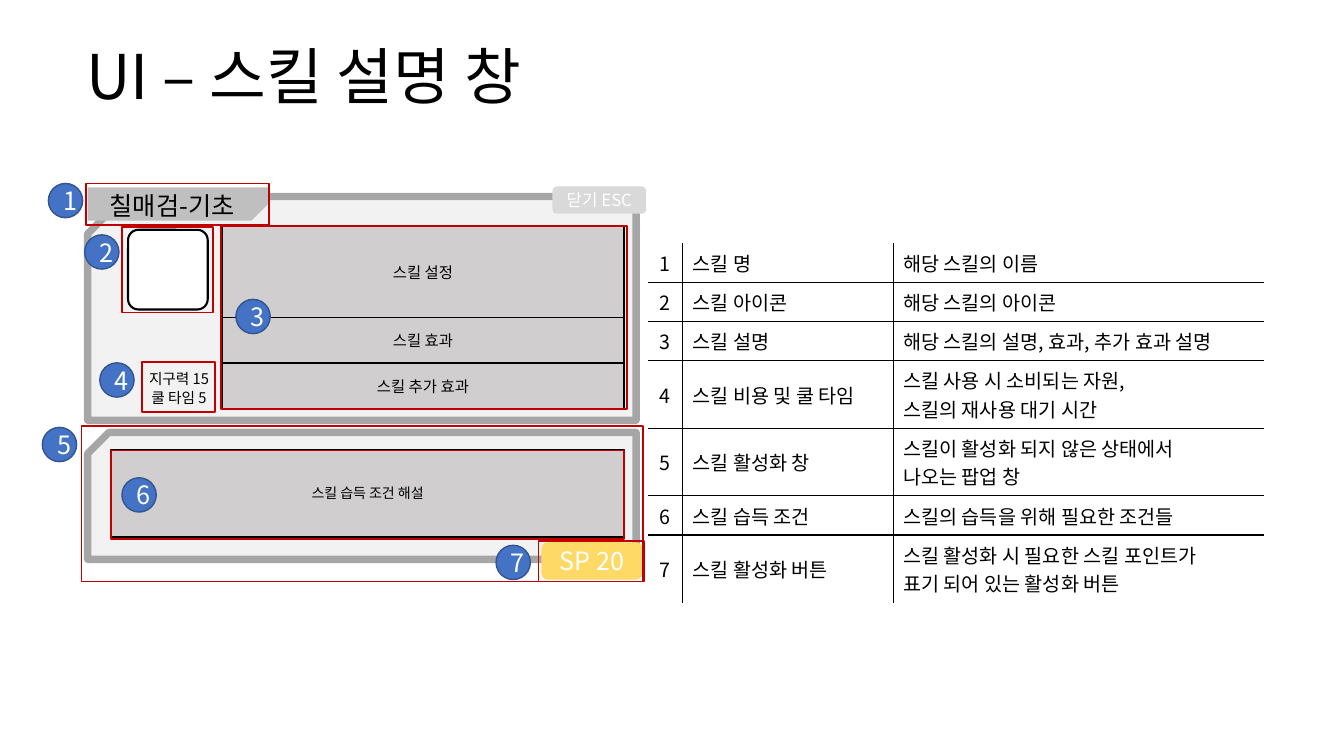
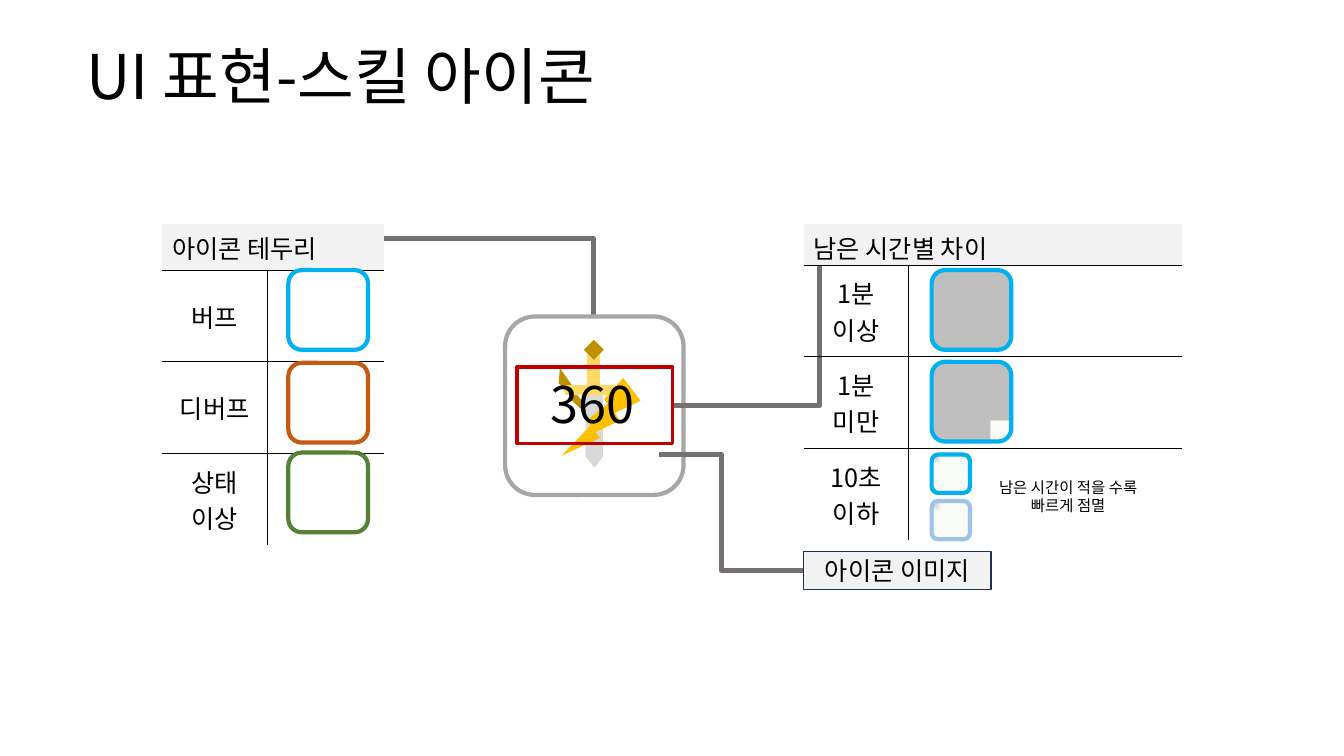
from dataclasses import dataclass

from lxml.etree import SubElement
from pptx import Presentation
from pptx.dml.color import RGBColor
from pptx.enum.shapes import MSO_CONNECTOR, MSO_SHAPE
from pptx.enum.text import MSO_ANCHOR, PP_ALIGN
from pptx.oxml.ns import qn
from pptx.util import Inches, Pt


@dataclass(frozen=True)
class Theme:
    font: str = "Noto Sans CJK KR"
    black: str = "000000"
    white: str = "FFFFFF"
    panel: str = "F2F2F2"
    frame: str = "A6A6A6"
    tag: str = "BFBFBF"
    pale: str = "D9D9D9"
    field: str = "D0CECE"
    red: str = "C00000"
    badge: str = "4472C4"
    badge_line: str = "325491"
    note_line: str = "1E3256"
    yellow: str = "FFD966"
    gold: str = "FFC000"
    dark_gold: str = "BF9000"
    wire: str = "767171"
    sky: str = "00B0F0"
    light_blue: str = "9DC3E6"
    orange: str = "C55A11"
    green: str = "548235"
    glow: str = "F8FBF6"
    title: float = 44
    timer: float = 36
    heading: float = 18
    body: float = 14
    button: float = 12
    label: float = 11
    cost: float = 10.5
    small: float = 10


T = Theme()


@dataclass(frozen=True)
class Box:
    x: float
    y: float
    w: float
    h: float

    def sub(self, x, y, w, h):
        return Box(self.x + x, self.y + y, w, h)

    def emu(self):
        return [Inches(round(v, 2)) for v in (self.x, self.y, self.w, self.h)]


def rgb(color):
    return RGBColor.from_string(color)


def write(tf, text, size, color=T.black, align=PP_ALIGN.CENTER, spacing=None):
    for i, line in enumerate(text.split("\n")):
        p = tf.add_paragraph() if i else tf.paragraphs[0]
        p.text = line
        p.alignment = align
        if spacing:
            p.line_spacing = spacing
        p.font.name = T.font
        p.font.size = Pt(size)
        p.font.color.rgb = rgb(color)
        latin = p.font._element.find(qn("a:latin"))
        ea = latin.makeelement(qn("a:ea"), {"typeface": T.font})
        latin.addnext(ea)


def shape(slide, kind, box, fill=None, line=None, width=1.0, adj=(),
          flip=None, rot=0, text=None, size=T.heading, color=T.black):
    sp = slide.shapes.add_shape(kind, *box.emu())
    sp.shadow.inherit = False
    sp.rotation = rot
    for i, value in enumerate(adj):
        sp.adjustments[i] = value
    if fill:
        sp.fill.solid()
        sp.fill.fore_color.rgb = rgb(fill)
    else:
        sp.fill.background()
    if line:
        sp.line.color.rgb = rgb(line)
        sp.line.width = Pt(width)
    else:
        sp.line.fill.background()
    if flip:
        sp._element.spPr.find(qn("a:xfrm")).set(flip, "1")
    if text:
        sp.text_frame.vertical_anchor = MSO_ANCHOR.MIDDLE
        write(sp.text_frame, text, size, color)
    return sp


def label(slide, box, text, size, align=PP_ALIGN.CENTER,
          anchor=MSO_ANCHOR.TOP, spacing=None):
    tf = slide.shapes.add_textbox(*box.emu()).text_frame
    tf.word_wrap = True
    tf.vertical_anchor = anchor
    if align == PP_ALIGN.CENTER:
        tf.margin_left = tf.margin_right = 0
    write(tf, text, size, align=align, spacing=spacing)


def marker(slide, box, width=1.25):
    shape(slide, MSO_SHAPE.RECTANGLE, box, line=T.red, width=width)


def badge(slide, panel, number, x, y):
    shape(slide, MSO_SHAPE.OVAL, panel.sub(x, y, 0.34, 0.34), T.badge,
          T.badge_line, text=str(number), color=T.white)


def panel_frame(slide, box):
    shape(slide, MSO_SHAPE.SNIP_1_RECTANGLE, box, T.panel, T.frame, 5.25,
          flip="flipH")


def wire(slide, start, end, bends, adj=None):
    points = [Inches(v) for v in (*start, *end)]
    cxn = slide.shapes.add_connector(MSO_CONNECTOR.ELBOW, *points)
    cxn.line.color.rgb = rgb(T.wire)
    cxn.line.width = Pt(3.5)
    spPr = cxn._element.spPr
    SubElement(spPr, qn("a:effectLst"))
    geom = spPr.find(qn("a:prstGeom"))
    geom.set("prst", f"bentConnector{bends + 1}")
    if adj:
        SubElement(geom.find(qn("a:avLst")), qn("a:gd"), name="adj1",
                   fmla=f"val {adj}")


def set_borders(cell, sides):
    tcPr = cell._tc.get_or_add_tcPr()
    for i, side in enumerate("LRTB"):
        ln = tcPr.makeelement(qn(f"a:ln{side}"), {"w": str(Pt(1))})
        if side in sides:
            fill = SubElement(ln, qn("a:solidFill"))
            SubElement(fill, qn("a:srgbClr"), val=T.black)
        else:
            SubElement(ln, qn("a:noFill"))
        tcPr.insert(i, ln)


def grid(slide, box, widths, heights, header=False):
    rows, cols = len(heights), len(widths)
    table = slide.shapes.add_table(rows, cols, *box.emu()).table
    table.first_row = table.horz_banding = False
    for col, width in zip(table.columns, widths):
        col.width = Inches(width)
    for row, height in zip(table.rows, heights):
        row.height = Inches(height)
    for r in range(rows):
        for c in range(cols):
            cell = table.cell(r, c)
            cell.fill.background()
            cell.vertical_anchor = MSO_ANCHOR.MIDDLE
            spanned = header and r == 0
            inner = {"L": c > 0 and not spanned,
                     "R": c < cols - 1 and not spanned,
                     "T": r > 0, "B": r < rows - 1}
            set_borders(cell, [side for side, on in inner.items() if on])
    return table


def legend_table(slide, box, entries):
    heights = [0.67 if "\n" in detail else 0.39 for _, detail in entries]
    table = grid(slide, box, [0.34, 2.09, 3.68], heights)
    for r, (name, detail) in enumerate(entries):
        write(table.cell(r, 0).text_frame, str(r + 1), T.body)
        write(table.cell(r, 1).text_frame, name, T.body, align=PP_ALIGN.LEFT)
        write(table.cell(r, 2).text_frame, detail, T.body, align=PP_ALIGN.LEFT)


def icon_table(slide, box, header_h, heading, names):
    table = grid(slide, box, [1.04, box.w - 1.04], [header_h] + [0.91] * 3, True)
    head = table.cell(0, 0)
    head.merge(table.cell(0, 1))
    head.fill.solid()
    head.fill.fore_color.rgb = rgb(T.panel)
    head.vertical_anchor = MSO_ANCHOR.TOP
    head.margin_bottom = Inches(round(header_h - 0.41, 2))
    write(head.text_frame, heading, T.heading, align=PP_ALIGN.LEFT)
    for r, name in enumerate(names, 1):
        write(table.cell(r, 0).text_frame, name, T.heading)


def skill_panel(slide, box):
    panel_frame(slide, box)
    shape(slide, MSO_SHAPE.ROUNDED_RECTANGLE, box.sub(0.4, 0.33, 0.79, 0.79),
          T.white, T.black, 1.5, adj=[0.13])
    shape(slide, MSO_SHAPE.SNIP_1_RECTANGLE, box.sub(0, -0.09, 1.79, 0.33),
          T.tag, adj=[0.5], flip="flipV")
    label(slide, box.sub(0.12, -0.11, 1.79, 0.4), "칠매검-기초", T.heading,
          PP_ALIGN.LEFT)
    shape(slide, MSO_SHAPE.ROUNDED_RECTANGLE, box.sub(4.61, -0.1, 0.93, 0.27),
          T.pale, text="닫기 ESC", size=T.button, color=T.white)
    y = 0.3
    for text, height in [("스킬 설정", 0.9), ("스킬 효과", 0.45),
                         ("스킬 추가 효과", 0.46)]:
        shape(slide, MSO_SHAPE.RECTANGLE, box.sub(1.33, y, 3.99, height),
              T.field, T.black, text=text, size=T.label)
        y += height
    for area in [(-0.02, -0.13, 1.82, 0.41), (0.34, 0.3, 0.9, 0.85),
                 (0.54, 1.64, 0.72, 0.5), (1.32, 0.29, 4.03, 1.82)]:
        marker(slide, box.sub(*area))
    for i, text in enumerate(["지구력 15", "쿨 타임 5"]):
        label(slide, box.sub(0.48, 1.67 + 0.19 * i, 0.85, 0.28), text, T.cost)
    for number, x, y in [(1, -0.39, -0.13), (2, -0.03, 0.38),
                         (3, 1.47, 1.02), (4, 0.12, 1.65)]:
        badge(slide, box, number, x, y)


def activation_panel(slide, box):
    panel_frame(slide, box)
    shape(slide, MSO_SHAPE.ROUNDED_RECTANGLE, box.sub(4.5, 1.09, 1, 0.37),
          T.yellow, text="SP 20", color=T.white)
    shape(slide, MSO_SHAPE.RECTANGLE, box.sub(0.23, 0.17, 5.09, 0.87),
          T.field, T.black, text="스킬 습득 조건 해설", size=T.small)
    for area in [(4.47, 1.08, 1.05, 0.4), (-0.06, -0.06, 5.57, 1.54),
                 (0.23, 0.18, 5.09, 0.88)]:
        marker(slide, box.sub(*area))
    for number, x, y in [(5, -0.45, -0.05), (6, 0.34, 0.45), (7, 4.05, 1.12)]:
        badge(slide, box, number, x, y)


def skill_icon(slide, box):
    parts = [
        (MSO_SHAPE.LIGHTNING_BOLT, (0.62, 0.47, 0.19, 0.74), T.dark_gold, (), 335.6, None),
        (MSO_SHAPE.DOWN_ARROW, (0.81, 0.26, 0.13, 0.78), T.yellow, (1, 0.64), 180, None),
        (MSO_SHAPE.DOWN_ARROW, (0.8, 0.72, 0.17, 0.78), T.pale, (1, 0.64), 0, None),
        (MSO_SHAPE.LEFT_RIGHT_ARROW, (0.58, 0.68, 0.59, 0.1), T.yellow, (1, 0.19), 0, None),
        (MSO_SHAPE.DIAMOND, (0.78, 0.23, 0.2, 0.2), T.dark_gold, (), 0, None),
        (MSO_SHAPE.LIGHTNING_BOLT, (0.68, 0.57, 0.59, 0.92), T.gold, (), 17.1, "flipH"),
    ]
    for kind, area, fill, adj, rot, flip in parts:
        shape(slide, kind, box.sub(*area), fill, adj=adj, rot=rot, flip=flip)
    shape(slide, MSO_SHAPE.ROUNDED_RECTANGLE, box, line=T.frame, width=3)
    label(slide, box.sub(0.2, 0.51, 1.33, 0.71), "360", T.timer,
          anchor=MSO_ANCHOR.MIDDLE)


def icon_tile(slide, box, line, fill=None, stops=None, focus=()):
    sp = shape(slide, MSO_SHAPE.ROUNDED_RECTANGLE, box, fill, line, 3)
    if stops:
        sp.fill.gradient()
        for stop, (position, color) in zip(sp.fill.gradient_stops, stops):
            stop.position = position
            stop.color.rgb = rgb(color)
        grad = sp._element.spPr.find(qn("a:gradFill"))
        grad.remove(grad.find(qn("a:lin")))
        corner = SubElement(grad, qn("a:path"), {"path": "rect"})
        SubElement(corner, qn("a:fillToRect"), {s: "100000" for s in focus})


def border_samples(slide, box):
    icon_table(slide, box, 0.46, "아이콘 테두리", ["버프", "디버프", "상태\n이상"])
    for y, color in [(0.46, T.sky), (1.38, T.orange), (2.27, T.green)]:
        icon_tile(slide, box.sub(1.25, y, 0.79, 0.79), color)


def time_samples(slide, box):
    icon_table(slide, box, 0.41, "남은 시간별 차이",
               ["1분\n이상", "1분\n미만", "10초\n이하"])
    icon_tile(slide, box.sub(1.27, 0.46, 0.79, 0.79), T.sky, T.tag)
    icon_tile(slide, box.sub(1.27, 1.37, 0.79, 0.79), T.sky,
              stops=[(0.5, T.glow), (0.55, T.tag)], focus="lt")
    for y, color in [(2.29, T.sky), (2.75, T.light_blue)]:
        icon_tile(slide, box.sub(1.27, y, 0.38, 0.38), color,
                  stops=[(0.08, T.tag), (0.5, T.glow)], focus="rb")
    label(slide, box.sub(1.46, 2.47, 2.33, 0.47),
          "남은 시간이 적을 수록\n빠르게 점멸", T.label)


def new_slide(prs, title):
    slide = prs.slides.add_slide(prs.slide_layouts[6])
    label(slide, Box(0.76, 0.32, 11.81, 0.94), title, T.title, PP_ALIGN.LEFT,
          MSO_ANCHOR.MIDDLE, 0.9)
    return slide


def description_slide(prs):
    slide = new_slide(prs, "UI – 스킬 설명 창")
    legend_table(slide, Box(6.43, 2.41, 6.11, 3.53), [
        ("스킬 명", "해당 스킬의 이름"),
        ("스킬 아이콘", "해당 스킬의 아이콘"),
        ("스킬 설명", "해당 스킬의 설명, 효과, 추가 효과 설명"),
        ("스킬 비용 및 쿨 타임", "스킬 사용 시 소비되는 자원,\n스킬의 재사용 대기 시간"),
        ("스킬 활성화 창", "스킬이 활성화 되지 않은 상태에서\n나오는 팝업 창"),
        ("스킬 습득 조건", "스킬의 습득을 위해 필요한 조건들"),
        ("스킬 활성화 버튼", "스킬 활성화 시 필요한 스킬 포인트가\n표기 되어 있는 활성화 버튼"),
    ])
    skill_panel(slide, Box(0.87, 1.95, 5.44, 2.22))
    activation_panel(slide, Box(0.87, 4.29, 5.44, 1.26))


def icon_slide(prs):
    slide = new_slide(prs, "UI 표현-스킬 아이콘")
    icon = Box(5.01, 3.14, 1.77, 1.77)
    wire(slide, (3.81, 2.37), (5.89, 3.14), 1)
    border_samples(slide, Box(1.61, 2.22, 2.2, 3.19))
    skill_icon(slide, icon)
    wire(slide, (6.67, 4.02), (8.13, 2.43), 1)
    time_samples(slide, Box(7.97, 2.22, 3.75, 3.14))
    wire(slide, (6.54, 4.51), (7.97, 5.66), 2, 43100)
    shape(slide, MSO_SHAPE.RECTANGLE, Box(7.97, 5.47, 1.86, 0.38), T.panel,
          T.note_line, text="아이콘 이미지")
    marker(slide, icon.sub(0.12, 0.5, 1.54, 0.76), 2.5)


def main():
    prs = Presentation()
    prs.slide_width = Inches(13.33)
    prs.slide_height = Inches(7.5)
    description_slide(prs)
    icon_slide(prs)
    prs.save("out.pptx")


if __name__ == "__main__":
    main()
